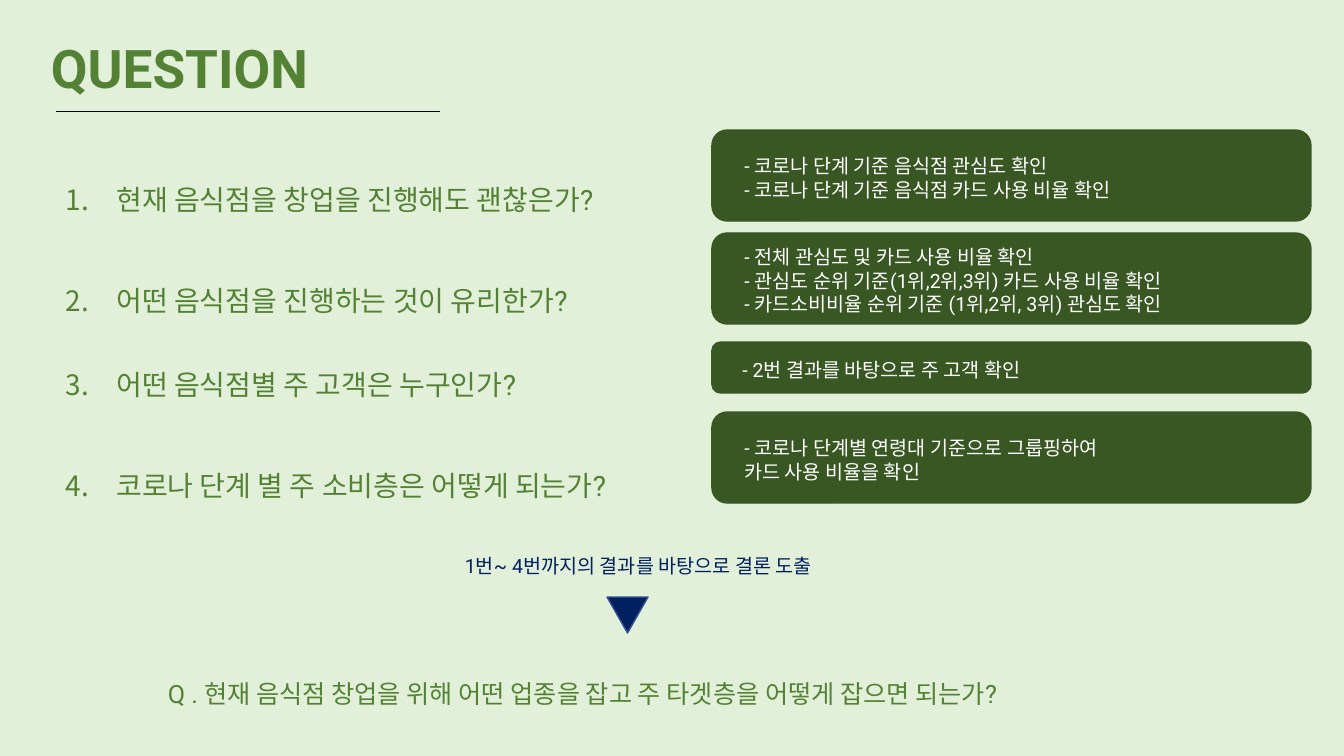
import pptx
import pptx.util
import pptx.dml.color
import pptx.enum.shapes
import pptx.enum.text
import pptx.oxml.ns
import lxml.etree

RGB = pptx.dml.color.RGBColor
SHAPES = pptx.enum.shapes.MSO_SHAPE
ANCHOR = pptx.enum.text.MSO_ANCHOR

PALE = RGB(0xE2, 0xF0, 0xD9)
GREEN = RGB(0x54, 0x82, 0x35)
FOREST = RGB(0x38, 0x57, 0x23)
NAVY = RGB(0x00, 0x20, 0x60)
BLUE = RGB(0x32, 0x54, 0x91)
BLACK = RGB(0, 0, 0)
WHITE = RGB(0xFF, 0xFF, 0xFF)

HEADING = "QUESTION"
QUESTIONS = [
    ("현재 음식점을 창업을 진행해도 괜찮은가?", 0),
    ("어떤 음식점을 진행하는 것이 유리한가?", 36),
    ("어떤 음식점별 주 고객은 누구인가?", 24),
    ("코로나 단계 별 주 소비층은 어떻게 되는가?", 36),
]
CHECKS = [
    (130, 91, ["- 코로나 단계 기준 음식점 관심도 확인",
               "- 코로나 단계 기준 음식점 카드 사용 비율 확인"]),
    (233, 91, ["- 전체 관심도 및 카드 사용 비율 확인",
               "- 관심도 순위 기준(1위,2위,3위) 카드 사용 비율 확인",
               "- 카드소비비율 순위 기준 (1위,2위, 3위) 관심도 확인"]),
    (342, 51, ["- 2번 결과를 바탕으로 주 고객 확인"]),
    (412, 91, ["- 코로나 단계별 연령대 기준으로 그룹핑하여",
               "카드 사용 비율을 확인"]),
]
SUMMARY = "1번~ 4번까지의 결과를 바탕으로 결론 도출"
CONCLUSION = "Q . 현재 음식점 창업을 위해 어떤 업종을 잡고 주 타겟층을 어떻게 잡으면 되는가?"


def px(length):
    return pptx.util.Emu(round(length * 914400 / 100.8))


def write(frame, lines, size, color, bold=False):
    frame.word_wrap = True
    frame.text = "\n".join(lines)
    for paragraph in frame.paragraphs:
        paragraph.alignment = pptx.enum.text.PP_ALIGN.LEFT
        paragraph.font.name = "Roboto"
        paragraph.font.size = pptx.util.Pt(size)
        paragraph.font.color.rgb = color
        paragraph.font.bold = bold
    return frame.paragraphs


def add_text(slide, box, lines, size, color, bold=False):
    frame = slide.shapes.add_textbox(*map(px, box)).text_frame
    return write(frame, lines, size, color, bold)


def add_block(slide, kind, box, fill, outline):
    block = slide.shapes.add_shape(kind, *map(px, box))
    block.shadow.inherit = False
    block.fill.solid()
    block.fill.fore_color.rgb = fill
    block.line.color.rgb = outline
    block.line.width = pptx.util.Pt(1)
    return block


def add_questions(slide):
    texts = [text for text, gap in QUESTIONS]
    paragraphs = add_text(slide, (56, 161, 605, 380), texts, 20, GREEN)
    for paragraph, (text, gap) in zip(paragraphs, QUESTIONS):
        paragraph.line_spacing = 1.5
        paragraph.space_before = pptx.util.Pt(gap)
        properties = paragraph._p.get_or_add_pPr()
        properties.set("marL", "457200")
        properties.set("indent", "-457200")
        number = lxml.etree.Element(pptx.oxml.ns.qn("a:buAutoNum"), type="arabicPeriod")
        properties.find(pptx.oxml.ns.qn("a:defRPr")).addprevious(number)


def add_check(slide, top, height, lines):
    card = add_block(slide, SHAPES.ROUNDED_RECTANGLE, (712, top, 599, height), FOREST, FOREST)
    frame = card.text_frame
    frame.vertical_anchor = ANCHOR.MIDDLE
    frame.margin_left = px(28)
    frame.margin_top = px(6)
    frame.margin_bottom = px(2)
    write(frame, lines, 14, WHITE)


def main():
    deck = pptx.Presentation()
    deck.slide_width = px(1344)
    deck.slide_height = px(756)
    slide = deck.slides.add_slide(deck.slide_layouts[6])
    slide.background.fill.solid()
    slide.background.fill.fore_color.rgb = PALE

    add_text(slide, (41, 30, 308, 75), [HEADING], 38, GREEN, True)
    rule = slide.shapes.add_connector(
        pptx.enum.shapes.MSO_CONNECTOR.STRAIGHT, px(56), px(111), px(440), px(111))
    rule.line.color.rgb = BLACK
    rule.line.width = pptx.util.Pt(0.5)
    lxml.etree.SubElement(rule._element.spPr, pptx.oxml.ns.qn("a:effectLst"))

    add_questions(slide)
    for top, height, lines in CHECKS:
        add_check(slide, top, height, lines)

    add_text(slide, (455, 549, 557, 34), [SUMMARY], 14, NAVY)
    pointer = add_block(slide, SHAPES.ISOSCELES_TRIANGLE, (607, 597, 41, 36), NAVY, BLUE)
    pointer.rotation = 180
    conclusion = add_text(slide, (158, 658, 1005, 52), [CONCLUSION], 18, GREEN)
    conclusion[0].line_spacing = 1.5

    deck.save("out.pptx")


if __name__ == "__main__":
    main()
